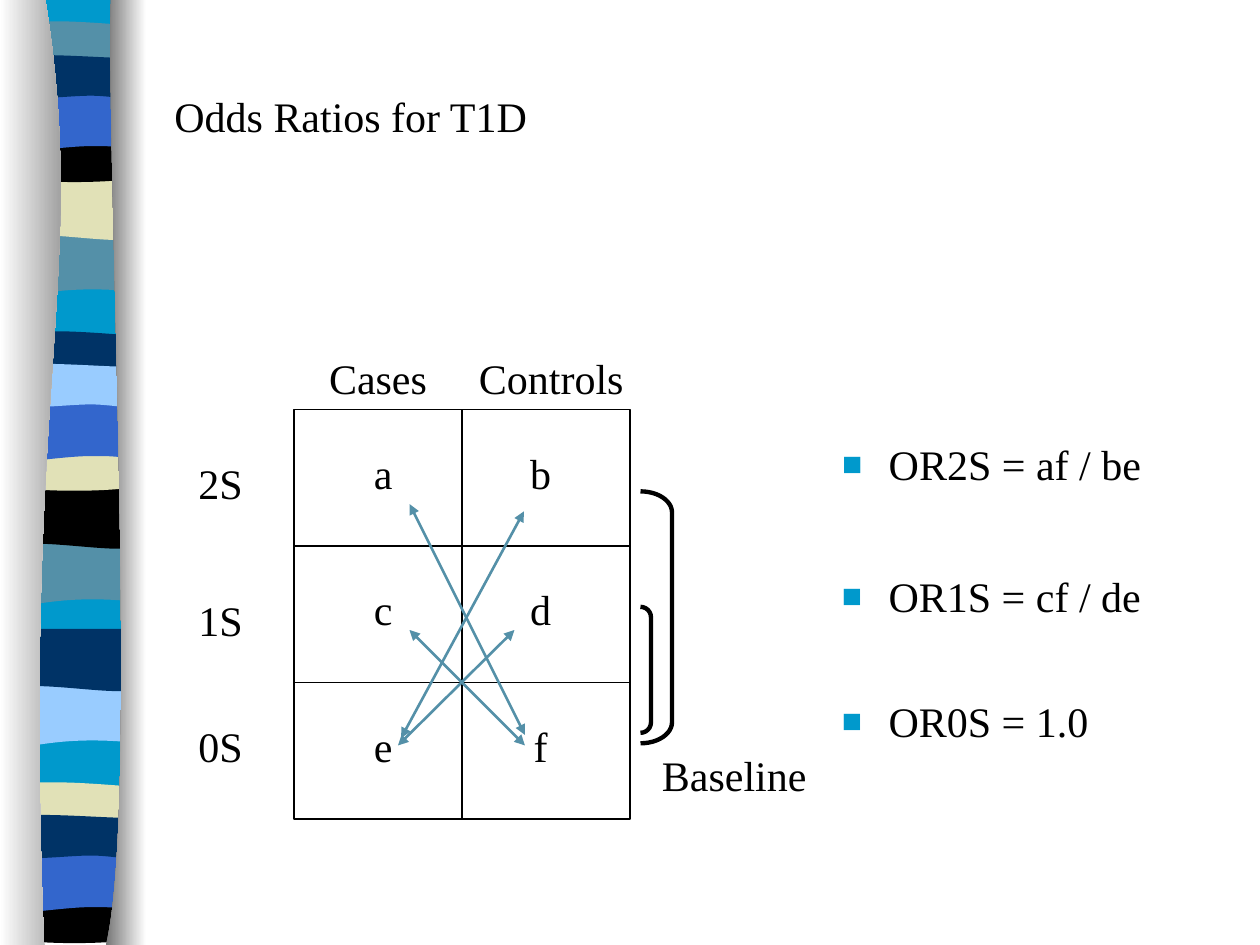
from lxml import etree
from pptx import Presentation
from pptx.dml.color import RGBColor
from pptx.enum.shapes import MSO_CONNECTOR, MSO_SHAPE
from pptx.enum.text import MSO_ANCHOR, MSO_AUTO_SIZE, PP_ALIGN
from pptx.oxml.ns import qn
from pptx.util import Inches, Pt

LEFT, CENTER, RIGHT = PP_ALIGN.LEFT, PP_ALIGN.CENTER, PP_ALIGN.RIGHT
TOP, NO_AUTOFIT = MSO_ANCHOR.TOP, MSO_AUTO_SIZE.NONE
STRAIGHT = MSO_CONNECTOR.STRAIGHT
RECTANGLE, RIGHT_BRACKET = MSO_SHAPE.RECTANGLE, MSO_SHAPE.RIGHT_BRACKET

BLACK = RGBColor(0x00, 0x00, 0x00)
WHITE = RGBColor(0xFF, 0xFF, 0xFF)
GREY = RGBColor(0x76, 0x76, 0x76)
CYAN = RGBColor(0x00, 0x99, 0xCC)
TEAL = RGBColor(0x54, 0x90, 0xA8)
NAVY = RGBColor(0x00, 0x33, 0x66)
BLUE = RGBColor(0x33, 0x66, 0xCC)
SKY = RGBColor(0x99, 0xCC, 0xFF)
SAND = RGBColor(0xE1, 0xE1, 0xB7)

FONT = {"name": "Times New Roman", "size": Pt(24), "bold": False}

# Stripe outlines: x as share of the band's width, y in inches below the
# stripe's top; two-number points are corners, six-number points are curves
STRIPES = {
    "swoosh": [(1, 0), (1, .47), (.31, .39, .17, .55, 0, .47), (0, 0)],
    "slope": [(1, 0), (1, .47), (.83, .55, .31, .41, 0, .47), (0, 0)],
    "thin": [(1, .05), (1, .29), (.83, .33, .17, .33, 0, .29), (0, .05),
             (.06, 0, .22, .01, .39, .01), (.56, .01, .88, .04, 1, .05)],
    "bowl": [(1, 0), (1, .32), (.83, .38, .17, .38, 0, .32), (0, 0),
             (.62, .05, .8, 0, 1, 0)],
    "arch": [(1, 0), (1, .47), (.85, .42, .79, .42, .62, .42),
             (.45, .42, .16, .47, 0, .47), (0, 0)],
    "wave": [(1, .05), (1, .35), (.94, .4, .79, .35, .62, .35),
             (.45, .35, .1, .4, 0, .35), (0, .05),
             (.15, 0, .69, .05, .85, .05), (1.02, .05, .97, .05, 1, .05)],
}
# Outline, top in the first cycle, colours and offsets of the three cycles
BAND_ROWS = [
    ("swoosh", 1.85, (TEAL, TEAL, SKY), (0, 2.46, 3.58)),
    ("slope", 1.41, (SAND, BLACK, NAVY), (0, 2.45, 3.58)),
    ("thin", .16, (TEAL, NAVY, SAND), (0, 2.46, 6.04)),
    ("bowl", 1.08, (BLACK, SAND, BLACK), (0, 2.45, 6.04)),
    ("arch", .74, (BLUE, BLUE, BLUE), (0, 2.46, 6.04)),
    ("wave", .41, (NAVY, SKY, NAVY), (0, 2.45, 6.03)),
]


def units(*lengths):
    """Convert grid units of a twelfth of an inch; the slide is 120 by 90."""
    return [Inches(length / 12) for length in lengths]


def write(paragraph, text, alignment=LEFT):
    run = paragraph.add_run()
    run.text = text
    for name, value in FONT.items():
        setattr(run.font, name, value)
    run.font.color.rgb = BLACK
    paragraph.alignment = alignment


def set_frame(frame, **settings):
    for name, value in {"word_wrap": True, "auto_size": NO_AUTOFIT,
                        "vertical_anchor": TOP, **settings}.items():
        setattr(frame, name, value)


def place(shape, box):
    for name, value in zip(("left", "top", "width", "height"), units(*box)):
        setattr(shape, name, value)


def curved_shape(slide, box, outline):
    """Draw an outline of corners and cubic curves within a box in inches."""
    left, top, width, height = box
    points = [(Inches(left + point[i] * width), Inches(top + point[i + 1] * height))
              for point in outline for i in range(0, len(point), 2)]
    builder = slide.shapes.build_freeform(*points[0], scale=1.0)
    builder.add_line_segments(points[1:], close=True)
    shape = builder.convert_to_shape()

    # Join the three segments of each curve into one cubic segment
    segments = iter(list(shape._element.iter(qn("a:lnTo"))))
    for point in outline[1:]:
        segment = next(segments)
        if len(point) == 6:
            segment.tag
            curve = etree.Element(qn("a:cubicBezTo"))
            segment.addprevious(curve)
            for part in (segment, next(segments), next(segments)):
                curve.append(part[0])
                part.getparent().remove(part)
    shape.shadow.inherit = False
    shape.line.fill.background()
    return shape


def add_band(slide, box):
    left, top, width, height = box

    def stripe(colour, y, outline, scale=1):
        shape = curved_shape(slide, (left, top + y, width, scale), outline)
        shape.fill.solid()
        shape.fill.fore_color.rgb = colour

    stripe(CYAN, 0, [(1, 0), (1, 1), (0, 1), (0, 0)], height)
    for cycle in range(3):
        for name, first_top, colours, offsets in BAND_ROWS:
            stripe(colours[cycle], first_top + offsets[cycle], STRIPES[name])

    # Shaded rolls at both edges of the band
    rolls = [([(.36, 0), (.71, .29, .17, .4, .35, 1), (0, 1), (0, 0)], (WHITE, GREY)),
             ([(.88, 0), (.84, .17, 1.11, .86, .84, 1), (1.16, 1), (1.16, 0)],
              (GREY, WHITE))]
    for outline, colours in rolls:
        shape = curved_shape(slide, (0, top, 1, 7.5), outline)
        shape.fill.gradient()
        shape.fill.gradient_angle = 0
        for stop, colour in zip(shape.fill.gradient_stops, colours):
            stop.color.rgb = colour


def add_title(slide, box):
    title = slide.shapes.title
    place(title, box)
    set_frame(title.text_frame, margin_top=Inches(.22))
    write(title.text_frame.paragraphs[0], "Odds Ratios for T1D")


def add_label(slide, text, box, alignment=CENTER):
    label = slide.shapes.add_textbox(*units(*box))
    set_frame(label.text_frame)
    write(label.text_frame.paragraphs[0], text, alignment)


def add_line(slide, ends, colour, width, arrowheads=False):
    connector = slide.shapes.add_connector(STRAIGHT, *units(*ends))
    connector.line.color.rgb = colour
    connector.line.width = Pt(width)
    if arrowheads:
        line = connector.line._get_or_add_ln()
        for end in ("a:headEnd", "a:tailEnd"):
            etree.SubElement(line, qn(end), type="triangle")
    etree.SubElement(connector._element.spPr, qn("a:effectLst"))


def add_outline(slide, kind, box, width):
    shape = slide.shapes.add_shape(kind, *units(*box))
    shape.shadow.inherit = False
    shape.fill.background()
    shape.line.color.rgb = BLACK
    shape.line.width = Pt(width)
    return shape


def add_case_control_grid(slide, box):
    left, top, width, height = box
    # Brackets joining each row to the baseline
    for y, w, h, bend in ((18.8, 1, 12, 1), (7.8, 3, 24, .67)):
        bracket = add_outline(slide, RIGHT_BRACKET, (left + 33, top + y, w, h), 2.5)
        bracket.adjustments[0] = bend
    add_label(slide, "Baseline", (left + 24, top + 31.8, 26, 10.8), RIGHT)

    # Frame with two columns and three rows
    frame = add_outline(slide, RECTANGLE, box, .75)
    frame.fill.solid()
    frame.fill.fore_color.rgb = WHITE
    middle = left + width / 2
    add_line(slide, (middle, top, middle, top + height), BLACK, .75)
    for row in (1, 2):
        y = top + row * height / 3
        add_line(slide, (left, y, left + width, y), BLACK, .75)

    # Cell letters, then column and row labels
    for index, letter in enumerate("abcdef"):
        row, column = divmod(index, 2)
        add_label(slide, letter, (left + 5 + 15 * column, top + 3 + 13 * row, 7, 10.8))
    for text, x, y, w in (("Cases", 0, -6, 16), ("Controls", 15, -6, 19),
                          ("2S", -13, 4, 12), ("1S", -13, 17, 12),
                          ("0S", -13, 29, 12)):
        add_label(slide, text, (left + x, top + y, w, 10.8))


def add_cross_arrows(slide, left, top):
    for x1, y1, x2, y2 in ((11, 9, 22, 31), (21.9, 9.7, 10.2, 31.3),
                           (11, 21, 22, 32), (21, 21, 9.9, 32)):
        add_line(slide, (left + x1, top + y1, left + x2, top + y2), TEAL, 1.5, True)


def add_ratio(slide, shape, text, box, inset):
    place(shape, box)
    set_frame(shape.text_frame, margin_top=Inches(inset))
    paragraph = shape.text_frame.paragraphs[0]
    properties = paragraph._p.get_or_add_pPr()
    properties.set("marL", str(Inches(.37)))
    properties.set("indent", str(-Inches(.37)))
    colour = etree.SubElement(properties, qn("a:buClr"))
    etree.SubElement(colour, qn("a:srgbClr"), val=str(CYAN))
    etree.SubElement(properties, qn("a:buSzPct"), val="80000")
    etree.SubElement(properties, qn("a:buFont"), typeface=FONT["name"])
    etree.SubElement(properties, qn("a:buChar"), char="■")
    paragraph.space_before = Pt(0)
    write(paragraph, text)


def add_ratio_list(slide, left, top):
    ratios = (("OR2S = af / be", 0, 45, 12, .4), ("OR1S = cf / de", 11, 39, 15, .53),
              ("OR0S = 1.0", 23, 39, 17, .52))
    for index, (text, y, width, height, inset) in enumerate(ratios):
        box = (left, top + y, width, height)
        shape = slide.shapes.add_textbox(*units(*box)) if index else slide.placeholders[1]
        add_ratio(slide, shape, text, box, inset)


def main():
    presentation = Presentation()
    presentation.slide_width, presentation.slide_height = units(120, 90)
    slide = presentation.slides.add_slide(presentation.slide_layouts[1])
    add_band(slide, (.05, 0, 1.08, 7.47))
    add_title(slide, (15.4, 6, 102, 15))
    add_case_control_grid(slide, (28, 39, 32, 39))
    add_ratio_list(slide, 79, 37)
    add_cross_arrows(slide, 28, 39)
    presentation.save("out.pptx")


if __name__ == "__main__":
    main()
